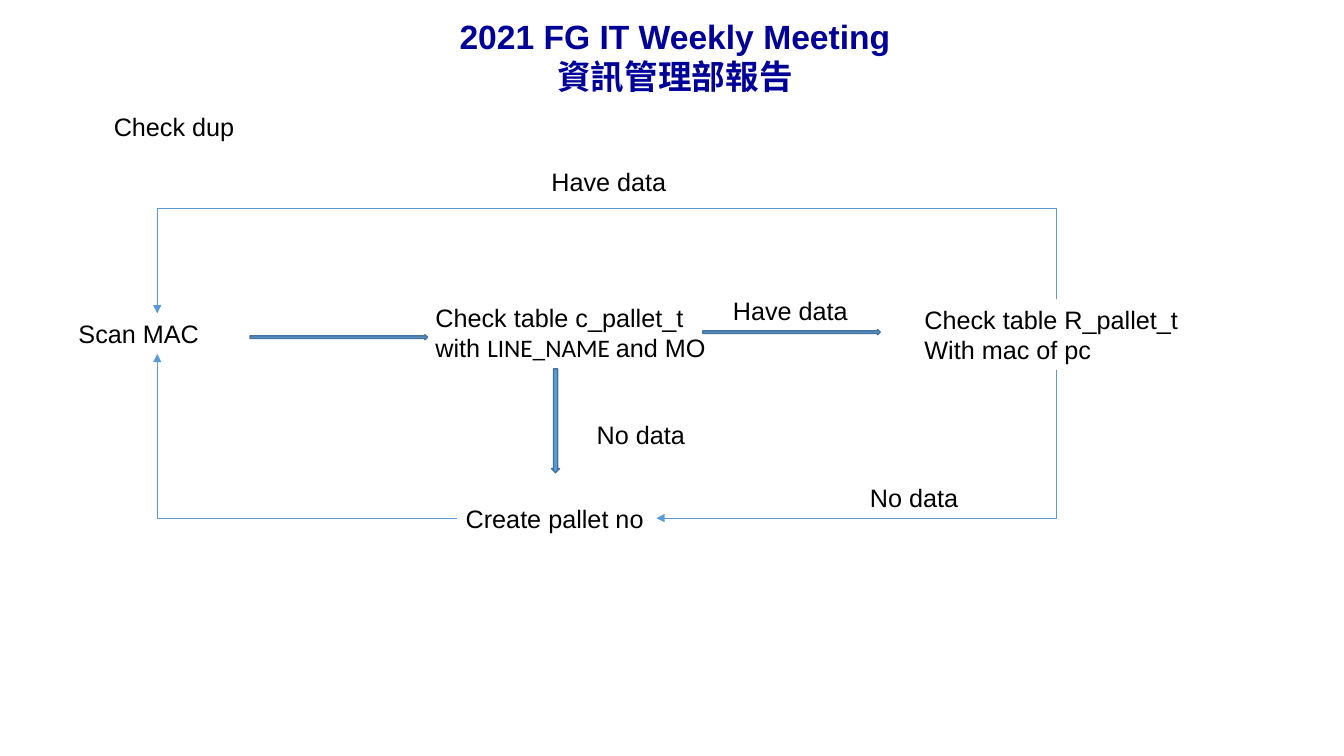
from lxml import etree
from pptx import Presentation
from pptx.dml.color import RGBColor
from pptx.enum.shapes import MSO_CONNECTOR, MSO_SHAPE
from pptx.enum.text import MSO_AUTO_SIZE, PP_ALIGN
from pptx.oxml.ns import qn
from pptx.util import Inches, Pt

COLORS = {"title": "000099", "text": "000000", "arrow": "5B9BD5", "outline": "43739E"}


def color(name):
    return RGBColor.from_string(COLORS[name])


def add_text(left, top, width, height, paragraphs, size=18, fill="text"):
    """Each paragraph is a list of (text, font) runs."""
    box = slide.shapes.add_textbox(Inches(left), Inches(top), Inches(width), Inches(height))
    tf = box.text_frame
    tf.word_wrap = False
    tf.auto_size = MSO_AUTO_SIZE.SHAPE_TO_FIT_TEXT
    for i, runs in enumerate(paragraphs):
        p = tf.paragraphs[0] if i == 0 else tf.add_paragraph()
        for text, font in runs:
            r = p.add_run()
            r.text = text
            r.font.name = font
            r.font.size = Pt(size)
            r.font.color.rgb = color(fill)
    return box


prs = Presentation()
prs.slide_width, prs.slide_height = Inches(13.33), Inches(7.5)
slide = prs.slides.add_slide(prs.slide_layouts[6])

# Title: two lines in one paragraph
title = add_text(3.36, 0.11, 6.67, 0.91, [[]])
title.text_frame.word_wrap = True
p = title.text_frame.paragraphs[0]
p.text = "2021 FG IT Weekly Meeting\v資訊管理部報告"
p.alignment = PP_ALIGN.CENTER
for r in p.runs:
    r.font.name, r.font.size, r.font.bold = "Arial", Pt(24), True
    r.font.color.rgb = color("title")

# Flow steps
scan = add_text(0.68, 3.11, 1.41, 0.4, [[("Scan MAC", "Arial")]])
add_text(4.22, 2.95, 2.92, 0.71, [
    [("Check table c_pallet_t", "Arial")],
    [("with ", "Arial"), ("LINE_NAME ", "Calibri"), ("and MO", "Arial")],
])
check_r = add_text(9.07, 2.97, 2.81, 0.71, [
    [("Check table R_pallet_t", "Arial")],
    [("With mac of pc", "Arial")],
])
create = add_text(4.52, 4.94, 1.98, 0.4, [[("Create pallet no", "Arial")]])

# Heading and branch labels
for text, left, top, width in [
    ("Check dup", 1.03, 1.06, 1.41),
    ("Have data", 7.17, 2.88, 1.35),
    ("No data", 5.82, 4.11, 1.09),
    ("No data", 8.53, 4.74, 1.09),
    ("Have data", 5.37, 1.6, 1.35),
]:
    add_text(left, top, width, 0.4, [[(text, "Arial")]])

# Block arrows
for kind, left, top, width, height in [
    (MSO_SHAPE.RIGHT_ARROW, 2.48, 3.32, 1.76, 0.05),
    (MSO_SHAPE.RIGHT_ARROW, 6.97, 3.27, 1.76, 0.05),
    (MSO_SHAPE.DOWN_ARROW, 5.47, 3.66, 0.08, 1.03),
]:
    sp = slide.shapes.add_shape(kind, Inches(left), Inches(top), Inches(width), Inches(height))
    sp.shadow.inherit = False
    sp.fill.solid()
    sp.fill.fore_color.rgb = color("arrow")
    sp.line.color.rgb = color("outline")
    sp.line.width = Pt(1)

# Elbow connectors: ends, unrotated box, rotation, flips, preset, bend
for begin, begin_site, end, end_site, frame, rotation, flipped, preset, bend in [
    (check_r, 2, create, 3, (7.76, 2.42, 1.47, 3.97), 90, False, "bentConnector2", None),
    (check_r, 0, scan, 0, (5.95, -1.42, 0.14, 8.92), 270, True, "bentConnector3", -647000),
    (create, 1, scan, 2, (1.56, 3.51, 2.97, 1.63), 180, False, "bentConnector2", None),
]:
    cxn = slide.shapes.add_connector(MSO_CONNECTOR.ELBOW, 0, 0, 0, 0)
    cxn.begin_connect(begin, begin_site)
    cxn.end_connect(end, end_site)
    cxn.left, cxn.top, cxn.width, cxn.height = [Inches(v) for v in frame]
    cxn.line.color.rgb = color("arrow")
    cxn.line.width = Pt(0.5)

    spPr = cxn._element.spPr
    xfrm = spPr.find(qn("a:xfrm"))
    xfrm.set("rot", str(rotation * 60000))
    for flip in ("flipH", "flipV"):
        xfrm.set(flip, str(int(flipped)))
    geom = spPr.find(qn("a:prstGeom"))
    geom.set("prst", preset)
    if bend is not None:
        guide = etree.SubElement(geom.find(qn("a:avLst")), qn("a:gd"))
        guide.set("name", "adj1")
        guide.set("fmla", f"val {bend}")
    etree.SubElement(spPr.find(qn("a:ln")), qn("a:tailEnd")).set("type", "triangle")
    etree.SubElement(spPr, qn("a:effectLst"))

prs.save("out.pptx")
